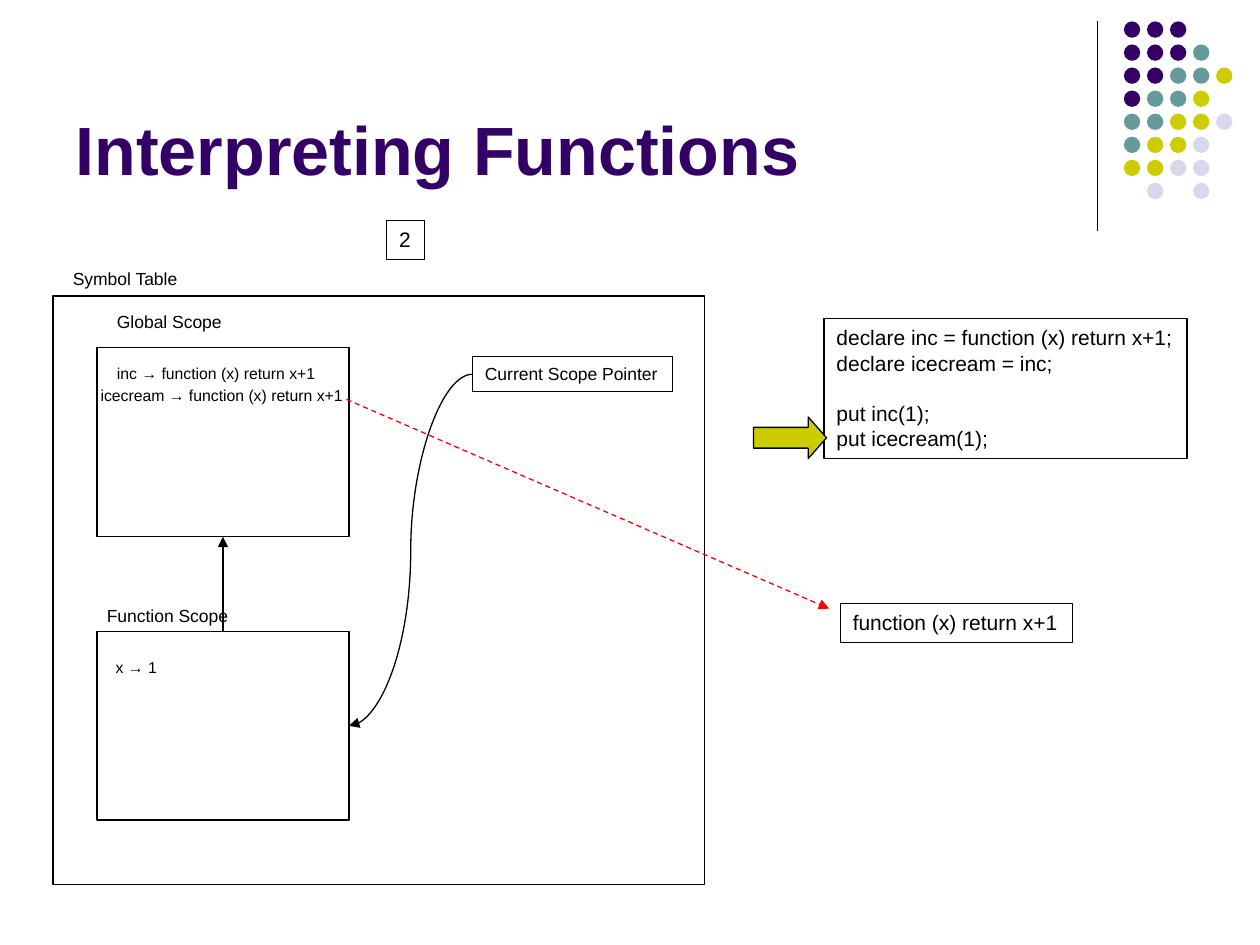
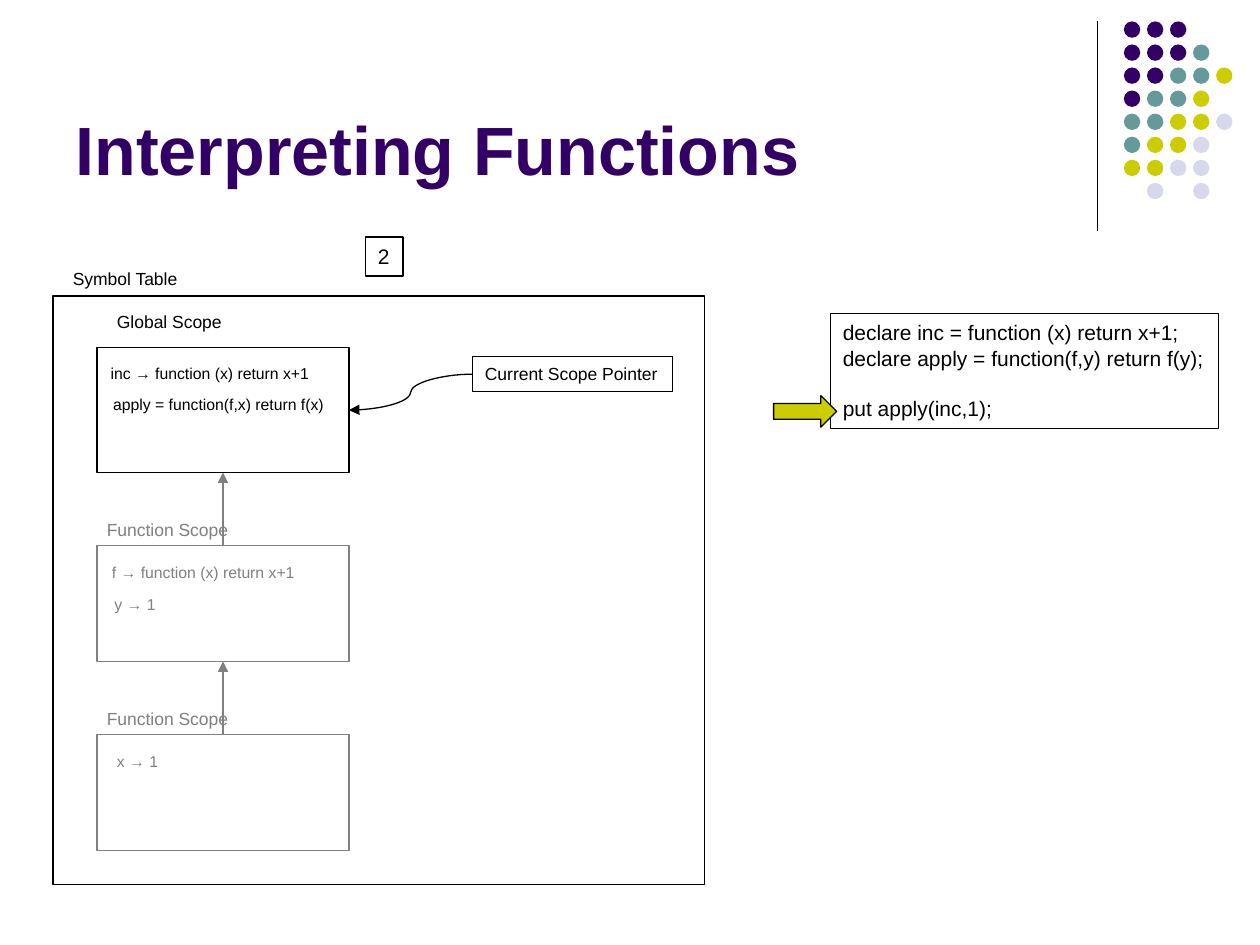
import pptx
import pptx.util
import pptx.dml.color
import pptx.enum.dml
import pptx.enum.shapes
import pptx.enum.text
import pptx.oxml
import pptx.oxml.ns

RGBColor = pptx.dml.color.RGBColor
SHAPE = pptx.enum.shapes.MSO_SHAPE
LINK = pptx.enum.shapes.MSO_CONNECTOR
TEXT = pptx.enum.text

PURPLE = RGBColor(0x33, 0x00, 0x66)
TEAL = RGBColor(0x66, 0x99, 0x99)
LIME = RGBColor(0xCC, 0xCC, 0x00)
LILAC = RGBColor(0xD8, 0xD8, 0xEC)
BLACK = RGBColor(0, 0, 0)
GREY = RGBColor(0x80, 0x80, 0x80)
RED = RGBColor(0xFF, 0, 0)

WIDTH, HEIGHT = pptx.util.Inches(10), pptx.util.Inches(7.5)
COLS, ROWS = 100, 75
FONT = "Arial"
LINE_WIDTH = pptx.util.Pt(0.75)
TOP, LEFT, BOTTOM, RIGHT = range(4)  # connection sites of a rectangle

DOTS = ["PPP", "PPPT", "PPTTY", "PTTY", "TTYYL", "TYYL", "YYLL", " L L"]
DOT_COLOURS = {"P": PURPLE, "T": TEAL, "Y": LIME, "L": LILAC}
DOT_PITCH, DOT_SIZE = 1.83, 1.3

SCOPE_LEFT, SCOPE_WIDTH = 7.7, 20
LABEL_HEIGHT, ENTRY_HEIGHT = 2.7, 2.5


def grid(x, y, *size):
    """Turn columns and rows (position, then optional size) into lengths."""
    steps = (WIDTH / COLS, HEIGHT / ROWS) * 2
    return [int(n * step) for n, step in zip((x, y, *size), steps)]


def set_all(obj, values):
    """Set each attribute named in a dict."""
    for name, value in values.items():
        setattr(obj, name, value)


def draw_line(line, colour):
    """Give an outline or connector its colour and the common width."""
    line.color.rgb = colour
    line.width = LINE_WIDTH


def write(sp, groups, size, colour=BLACK):
    """Write groups of lines, parted by the height of one line."""
    tf = sp.text_frame
    set_all(tf, {"word_wrap": False, "vertical_anchor": TEXT.MSO_ANCHOR.TOP,
                 "auto_size": TEXT.MSO_AUTO_SIZE.SHAPE_TO_FIT_TEXT})
    p = tf.paragraphs[0]
    for g, lines in enumerate(groups):
        for i, line in enumerate(lines):
            if g or i:
                p = tf.add_paragraph()
            if g and not i:
                p.space_before = pptx.util.Pt(1.2 * size)
            p.alignment = TEXT.PP_ALIGN.LEFT
            r = p.add_run()
            r.text = line
            set_all(r.font, {"name": FONT, "size": pptx.util.Pt(size)})
            r.font.color.rgb = colour


def add_shape(shapes, kind, at, fill=None, outline=None):
    """Add a flat preset shape with optional fill and outline."""
    sp = shapes.add_shape(kind, *grid(*at))
    sp.shadow.inherit = False
    if fill is None:
        sp.fill.background()
    else:
        sp.fill.solid()
        sp.fill.fore_color.rgb = fill
    if outline is None:
        sp.line.fill.background()
    else:
        draw_line(sp.line, outline)
    return sp


def add_box(s, at, groups=(), size=12, colour=BLACK):
    """Add an outlined rectangle, with text if there is any."""
    sp = add_shape(s.shapes, SHAPE.RECTANGLE, at, outline=colour)
    if groups:
        write(sp, groups, size)
    return sp


def add_label(s, at, text, size=10, colour=BLACK):
    """Add one line of free text."""
    write(s.shapes.add_textbox(*grid(*at)), [[text]], size, colour)


def add_link(s, start=(0, 0), end=(0, 0), kind=LINK.STRAIGHT, colour=BLACK,
             dash=None, head=True, glue=None):
    """Add a connector between two points, or glued to two (shape, site) pairs."""
    cx = s.shapes.add_connector(kind, *grid(*start), *grid(*end))
    if glue:
        cx.begin_connect(*glue[0])
        cx.end_connect(*glue[1])
    draw_line(cx.line, colour)
    if dash:
        cx.line.dash_style = dash
    ns = pptx.oxml.ns.nsdecls("a")
    if head:
        tail = pptx.oxml.parse_xml(f'<a:tailEnd {ns} type="triangle"/>')
        cx.get_or_add_ln().append(tail)
    cx.element.spPr.append(pptx.oxml.parse_xml(f"<a:effectLst {ns}/>"))
    return cx


def add_arrow(s, at, point):
    """Add the block arrow that marks the current statement."""
    sp = add_shape(s.shapes, SHAPE.RIGHT_ARROW, at, LIME, BLACK)
    sp.adjustments[0], sp.adjustments[1] = 0.5, point


def add_scope(s, name, top, height, entries, colour=BLACK, parent=None):
    """Add a named scope with its (left, top, width, text) entries."""
    box = add_box(s, (SCOPE_LEFT, top, SCOPE_WIDTH, height), colour=colour)
    if parent:
        add_link(s, colour=colour, glue=((box, TOP), (parent, BOTTOM)))
        add_label(s, (7.5, top - 2.6, 12, LABEL_HEIGHT), name, colour=colour)
    else:
        add_label(s, (8.3, top - 3.4, 10.3, LABEL_HEIGHT), name, colour=colour)
    for x, y, width, text in entries:
        add_label(s, (x, y, width, ENTRY_HEIGHT), text, 9, colour)
    return box


def add_pointer(s, scope):
    """Add the scope pointer and its curve to the current scope."""
    box = add_box(s, (37.5, 28.3, 15.9, 2.8), [["Current Scope Pointer"]], 10)
    add_link(s, kind=LINK.CURVE, glue=((box, LEFT), (scope, RIGHT)))


def decorate(s, layout):
    """Draw the rule and the dot pattern, and hand them to the layout."""
    rule = add_link(s, (87.1, 1.7), (87.1, 18.3), head=False)
    group = s.shapes.add_group_shape()
    for row, marks in enumerate(DOTS):
        for col, mark in enumerate(marks):
            if mark in DOT_COLOURS:
                at = (89.2 + col * DOT_PITCH, 1.7 + row * DOT_PITCH,
                      DOT_SIZE, DOT_SIZE)
                add_shape(group.shapes, SHAPE.OVAL, at, DOT_COLOURS[mark])
    for part in (rule, group):
        layout.shapes.element.append(part.element)


def start_slide(prs, layout):
    """Add a slide with its title and the symbol table frame."""
    s = prs.slides.add_slide(layout)
    title = s.shapes.title
    x, y, w, h = grid(5, 1.3, 82.5, 14.2)
    set_all(title, {"left": x, "top": y, "width": w, "height": h})
    title.text_frame.vertical_anchor = TEXT.MSO_ANCHOR.BOTTOM
    p = title.text_frame.paragraphs[0]
    p.alignment = TEXT.PP_ALIGN.LEFT
    r = p.add_run()
    r.text = "Interpreting Functions"
    set_all(r.font, {"name": FONT, "size": pptx.util.Pt(39), "bold": True})
    r.font.color.rgb = PURPLE
    add_box(s, (4.2, 23.5, 51.7, 46.7))
    add_label(s, (4.8, 20.8, 10.5, LABEL_HEIGHT), "Symbol Table")
    return s


def alias_slide(s):
    """Call a function through a second name."""
    add_box(s, (65.4, 25.3, 28.8, 11.1), [
        ["declare inc = function (x) return x+1;", "declare icecream = inc;"],
        ["put inc(1);", "put icecream(1);"]])
    top = add_scope(s, "Global Scope", 27.6, 15, [
        (8.3, 28.4, 17.7, "inc → function (x) return x+1"),
        (7, 30.1, 21.2, "icecream → function (x) return x+1")])
    call = add_scope(s, "Function Scope ", 50.1, 15,
                     [(8.2, 51.7, 5.3, "x → 1")], parent=top)
    add_pointer(s, call)
    add_arrow(s, (59.8, 33.1, 5.8, 3.3), 0.44)
    add_box(s, (66.7, 47.9, 18.4, 3.1), [["function (x) return x+1"]])
    add_link(s, (27.5, 31.7), (65.8, 48.3), colour=RED,
             dash=pptx.enum.dml.MSO_LINE.DASH)
    add_box(s, (30.7, 17.5, 3, 3.1), [["2"]])


def apply_slide(s):
    """Pass a function as an argument; both call scopes have ended."""
    top = add_scope(s, "Global Scope", 27.6, 9.9, [
        (7.8, 28.4, 17.7, "inc → function (x) return x+1"),
        (8, 30.8, 18.7, "apply = function(f,x) return f(x)")])
    outer = add_scope(s, "Function Scope ", 43.3, 9.2, [
        (7.9, 44.2, 16.5, "f → function (x) return x+1"),
        (8.1, 46.7, 5.3, "y → 1")], GREY, top)
    add_scope(s, "Function Scope ", 58.3, 9.2,
              [(8.3, 59.2, 5.3, "x → 1")], GREY, outer)
    add_pointer(s, top)
    add_box(s, (65.9, 24.9, 30.8, 9.1), [
        ["declare inc = function (x) return x+1;",
         "declare apply = function(f,y) return f(y);"],
        ["put apply(inc,1);"]])
    add_arrow(s, (61.4, 31.4, 5, 2.5), 0.5)
    add_box(s, (29, 18.8, 3, 3.1), [["2"]])


def main():
    """Build and save the slides."""
    prs = pptx.Presentation()
    set_all(prs, {"slide_width": WIDTH, "slide_height": HEIGHT})
    layout = prs.slide_layouts[5]
    for number, fill_slide in enumerate((alias_slide, apply_slide)):
        s = start_slide(prs, layout)
        if number == 0:
            decorate(s, layout)
        fill_slide(s)
    prs.save("out.pptx")


main()
